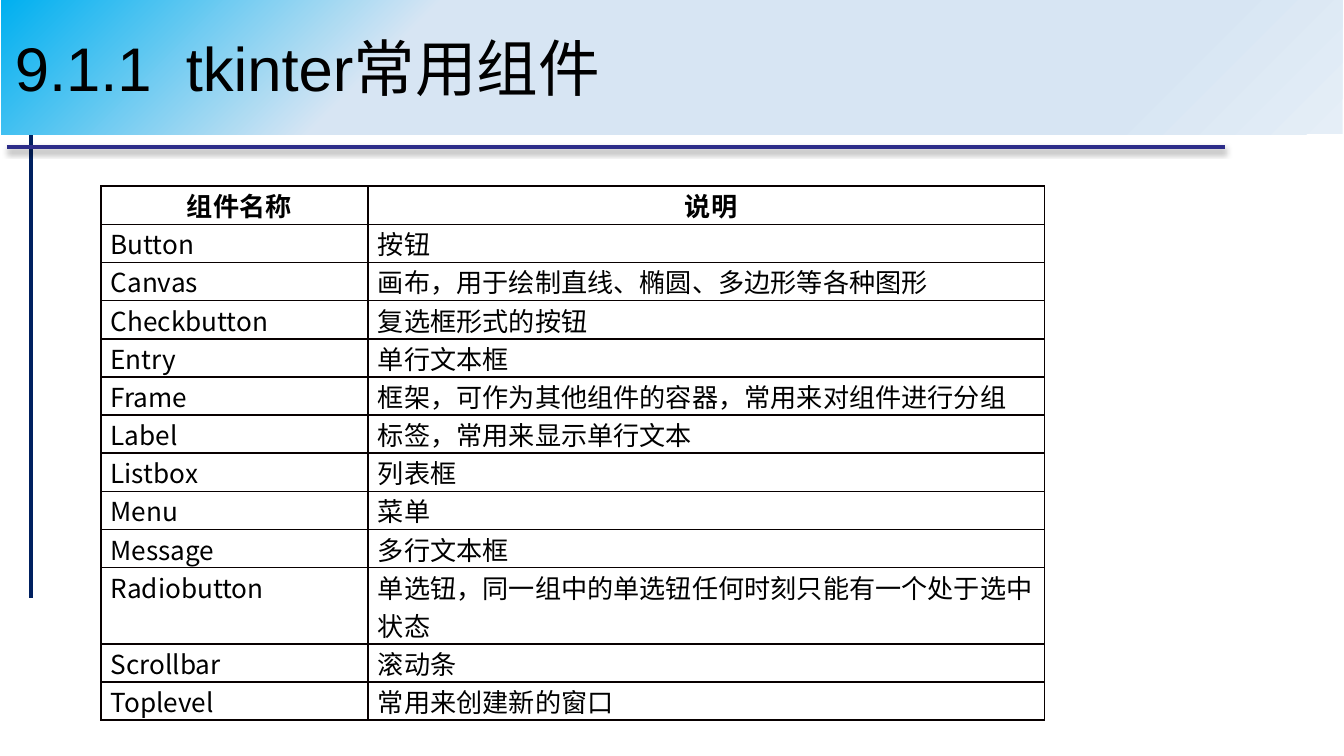
from lxml import etree
from pptx import Presentation
from pptx import util as u
from pptx.dml.color import RGBColor
from pptx.enum import shapes, text
from pptx.oxml import parse_xml
from pptx.oxml.ns import nsdecls, qn

PX = 9525
BLACK = RGBColor(0x00, 0x00, 0x00)
NAVY = RGBColor(0x00, 0x20, 0x60)
INDIGO = RGBColor(0x2D, 0x2D, 0x89)
EDGE = RGBColor(0x08, 0x00, 0x00)
SKY = RGBColor(0x00, 0xB0, 0xF0)
PALE = RGBColor(0xD7, 0xE5, 0xF3)
MIST = RGBColor(0xE5, 0xEE, 0xF7)
SANS = "Noto Sans CJK SC"

ROWS = [
    ("组件名称", "说明"),
    ("Button", "按钮"),
    ("Canvas", "画布，用于绘制直线、椭圆、多边形等各种图形"),
    ("Checkbutton", "复选框形式的按钮"),
    ("Entry", "单行文本框"),
    ("Frame", "框架，可作为其他组件的容器，常用来对组件进行分组"),
    ("Label", "标签，常用来显示单行文本"),
    ("Listbox", "列表框"),
    ("Menu", "菜单"),
    ("Message", "多行文本框"),
    ("Radiobutton", "单选钮，同一组中的单选钮任何时刻只能有一个处于选中状态"),
    ("Scrollbar", "滚动条"),
    ("Toplevel", "常用来创建新的窗口"),
]


def style(para, size, face, bold=False):
    """Format the runs of a paragraph, with one face for its Chinese text."""
    for run in para.runs:
        run.font.size = u.Pt(size)
        run.font.name = face
        run.font.bold = bold
        run.font.color.rgb = BLACK
        east = etree.SubElement(run.font._element, qn("a:ea"))
        east.set("typeface", SANS)


def edge(cell):
    """Draw a thin line on all four sides of a cell."""
    props = cell._tc.get_or_add_tcPr()
    for n, side in enumerate(("lnL", "lnR", "lnT", "lnB")):
        props.insert(n, parse_xml(
            f'<a:{side} {nsdecls("a")} w="12700"><a:solidFill>'
            f'<a:srgbClr val="{EDGE}"/></a:solidFill></a:{side}>'))


prs = Presentation()
prs.slide_width, prs.slide_height = 960 * PX, 540 * PX
slide = prs.slides.add_slide(prs.slide_layouts[5])

# Rules beside and below the title
for x1, y1, x2, y2, color, shade in (
        (22, 78, 22, 427, NAVY, ""),
        (5, 105, 875, 105, INDIGO,
         '<a:outerShdw blurRad="39370" dist="22860" dir="5400000" rotWithShape="0">'
         '<a:srgbClr val="000000"><a:alpha val="35000"/></a:srgbClr></a:outerShdw>')):
    rule = slide.shapes.add_connector(
        shapes.MSO_CONNECTOR.STRAIGHT, x1 * PX, y1 * PX, x2 * PX, y2 * PX)
    rule.line.color.rgb = color
    rule.line.width = u.Pt(2.25)
    rule._element.spPr.append(parse_xml(
        f'<a:effectLst {nsdecls("a")}>{shade}</a:effectLst>'))

# Title band, in front of the rules
title = slide.shapes.title
slide.shapes._spTree.append(title._element)
title.left, title.top, title.width, title.height = 1 * PX, 0, 958 * PX, 96 * PX
stops = "".join(
    f'<a:gs pos="{pos * 1000}"><a:srgbClr val="{color}"/></a:gs>'
    for pos, color in ((0, SKY), (30, PALE), (83, PALE), (100, MIST)))
title._element.spPr.append(parse_xml(
    f'<a:gradFill {nsdecls("a")} rotWithShape="1"><a:gsLst>{stops}</a:gsLst>'
    '<a:path path="circle"><a:fillToRect r="100000" b="100000"/></a:path>'
    '</a:gradFill>'))
frame = title.text_frame
frame.text = "9.1.1  tkinter常用组件"
frame.auto_size = text.MSO_AUTO_SIZE.NONE
frame.vertical_anchor = text.MSO_ANCHOR.MIDDLE
head = frame.paragraphs[0]
head.alignment = text.PP_ALIGN.LEFT
style(head, 33, "Arial")

# Table of widgets
wide = (191, 483)
high = 27
table = slide.shapes.add_table(
    len(ROWS), len(wide), 72 * PX, 133 * PX,
    sum(wide) * PX, high * len(ROWS) * PX).table
table.horz_banding = False
for col, width in zip(table.columns, wide):
    col.width = width * PX
for r, row in enumerate(ROWS):
    table.rows[r].height = high * PX
    for c, words in enumerate(row):
        cell = table.cell(r, c)
        cell.text = words
        cell.margin_left = 7 * PX
        cell.margin_right = cell.margin_top = cell.margin_bottom = 0
        cell.fill.background()
        edge(cell)
        para = cell.text_frame.paragraphs[0]
        para.alignment = text.PP_ALIGN.LEFT if r else text.PP_ALIGN.CENTER
        style(para, 14, SANS, bold=r == 0)

prs.save("out.pptx")
